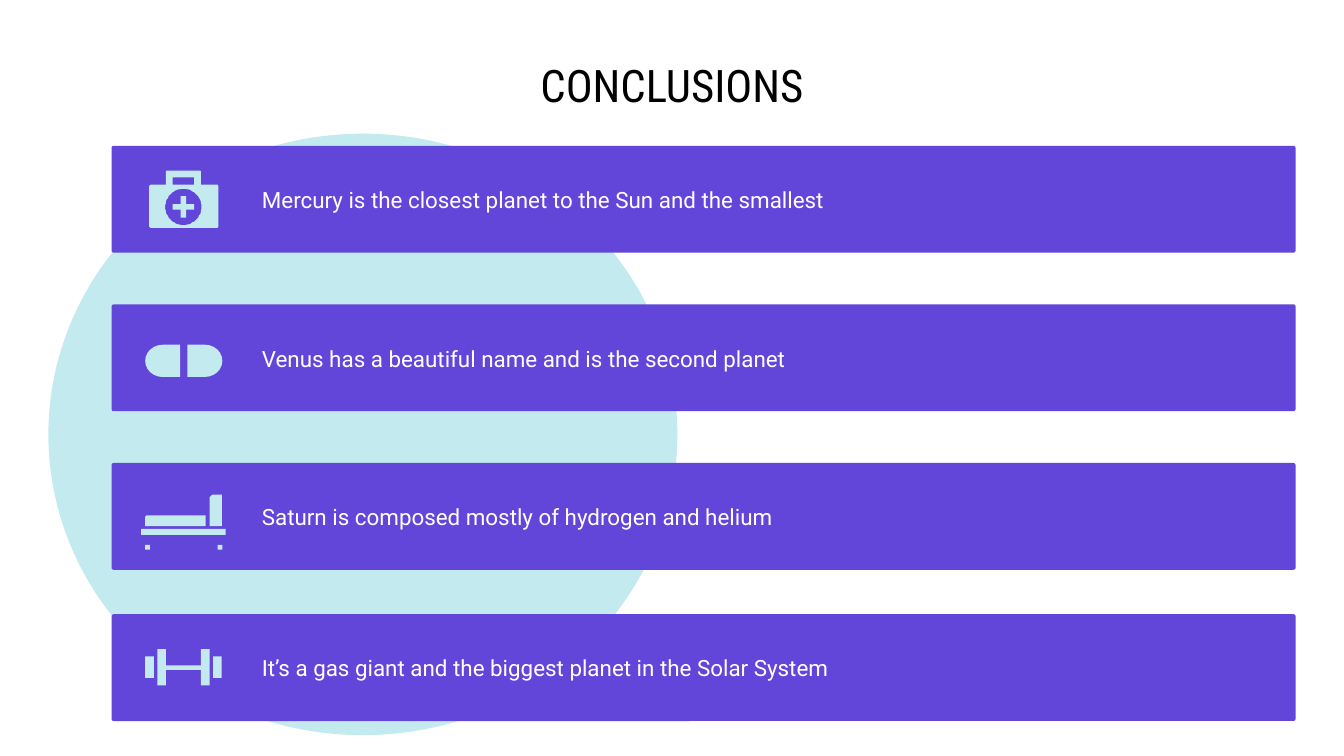
from dataclasses import dataclass
from math import cos, radians, sin

from pptx import Presentation
from pptx.dml.color import RGBColor
from pptx.enum.shapes import MSO_SHAPE as Kind
from pptx.enum.text import MSO_ANCHOR as Anchor, PP_ALIGN as Align
from pptx.util import Pt

PX = 4572


@dataclass(frozen=True)
class Theme:
    """Colours, fonts and type sizes."""
    ink: str = "000000"
    paper: str = "FFFFFF"
    bar: str = "6146D9"
    pale: str = "C3EBEF"
    head: str = "Roboto Condensed"
    body: str = "Roboto"
    big: int = 24
    small: int = 12


@dataclass(frozen=True)
class Box:
    """A rectangle in px."""
    x: int
    y: int
    w: int
    h: int

    def sub(self, x, y, w, h):
        """Return a box placed relative to this one."""
        return Box(self.x + x, self.y + y, w, h)

    def emu(self):
        """Return left, top, width and height in EMU."""
        return [n * PX for n in (self.x, self.y, self.w, self.h)]


THEME = Theme()


def write(frame, text, *, size, font, color, align=Align.LEFT):
    """Fill a text frame with one formatted paragraph."""
    frame.word_wrap = True
    frame.vertical_anchor = Anchor.MIDDLE
    frame.margin_left = frame.margin_right = 20 * PX
    frame.margin_top = frame.margin_bottom = 20 * PX
    para = frame.paragraphs[0]
    para.alignment = align
    run = para.add_run()
    run.text = text
    run.font.size = Pt(size)
    run.font.name = font
    run.font.bold = False
    run.font.color.rgb = RGBColor.from_string(color)


def paint(shape, color):
    """Give a shape a flat fill without line or shadow."""
    shape.shadow.inherit = False
    shape.fill.solid()
    shape.fill.fore_color.rgb = RGBColor.from_string(color)
    shape.line.fill.background()
    return shape


def block(slide, box, kind=Kind.RECTANGLE, color=THEME.pale):
    """Draw a preset shape in a box."""
    return paint(slide.shapes.add_shape(kind, *box.emu()), color)


def arc(x, y, size, start, end, step=6):
    """List points along a circle, angles in degrees."""
    turns = [radians(a) for a in range(start, end + 1, step)]
    return [(x + size * cos(a), y + size * sin(a)) for a in turns]


def rect(x, y, w, h):
    """List the corners of a rectangle."""
    return [(x, y), (x + w, y), (x + w, y + h), (x, y + h)]


def trace(slide, box, *loops):
    """Draw closed loops as one shape, inner loops as holes."""
    pen = slide.shapes.build_freeform(*loops[0][0], scale=PX)
    for loop in loops:
        if loop is not loops[0]:
            pen.move_to(*loop[0])
        pen.add_line_segments(loop[1:], close=True)
    paint(pen.convert_to_shape(box.x * PX, box.y * PX), THEME.pale)


def kit(slide, box):
    """Draw the first aid kit."""
    bag = [(81, 58), *arc(84, 40, 3, 180, 270, 30),
           *arc(130, 40, 3, 270, 360, 30), (133, 58),
           *arc(156, 61, 3, 270, 360, 30), *arc(156, 119, 3, 0, 90, 30),
           *arc(59, 119, 3, 90, 180, 30), *arc(59, 61, 3, 180, 270, 30)]
    x, y, far, near = 107, 91, 16, 4
    plus = [(-near, -far), (near, -far), (near, -near), (far, -near),
            (far, near), (near, near), (near, far), (-near, far),
            (-near, near), (-far, near), (-far, -near), (-near, -near)]
    trace(slide, box, bag, rect(91, 47, 32, 11), arc(x, y, 27, 0, 354),
          [(x + dx, y + dy) for dx, dy in plus])


def pill(slide, box):
    """Draw the two halves of a pill."""
    for x, turn in ((50, 180), (113, 0)):
        half = block(slide, box.sub(x, 60, 52, 48), Kind.FLOWCHART_DELAY)
        half.rotation = turn


def bed(slide, box):
    """Draw the bed with its rail and feet."""
    for x, y, w, h, bend in ((50, 78, 90, 16, 3), (146, 47, 18, 47, 6)):
        curve = arc(x + bend, y + bend, bend, 180, 270, 15)
        trace(slide, box, [*curve, *rect(x, y, w, h)[1:]])
    for part in ((44, 98, 126, 9), (50, 122, 7, 7), (158, 122, 7, 7)):
        block(slide, box.sub(*part))


def weight(slide, box):
    """Draw the dumbbell."""
    block(slide, box.sub(80, 76, 54, 7))
    for x, h in ((50, 32), (68, 54), (133, 54), (151, 32)):
        block(slide, box.sub(x, (box.h - h) // 2, 13, h))


def title(slide, box, text):
    """Place the slide title."""
    head = slide.shapes.title
    head.left, head.top, head.width, head.height = box.emu()
    write(head.text_frame, text, size=THEME.big, font=THEME.head,
          color=THEME.ink, align=Align.CENTER)


def row(slide, box, text, icon):
    """Draw one bar with its icon and sentence."""
    bar = block(slide, box, Kind.ROUNDED_RECTANGLE, THEME.bar)
    bar.adjustments[0] = 0.02
    note = slide.shapes.add_textbox(*box.sub(204, 20, 1498, 120).emu())
    write(note.text_frame, text, size=THEME.small, font=THEME.body,
          color=THEME.paper)
    icon(slide, box)


def main():
    """Build and save the deck."""
    deck = Presentation()
    deck.slide_width, deck.slide_height = 2000 * PX, 1125 * PX
    slide = deck.slides.add_slide(deck.slide_layouts[5])
    title(slide, Box(100, 90, 1800, 72), "CONCLUSIONS")
    block(slide, Box(72, 199, 936, 895), Kind.OVAL)
    rows = (
        (217, "Mercury is the closest planet to the Sun and the smallest", kit),
        (453, "Venus has a beautiful name and is the second planet", pill),
        (689, "Saturn is composed mostly of hydrogen and helium", bed),
        (914, "It’s a gas giant and the biggest planet in the Solar System",
         weight),
    )
    for top, text, icon in rows:
        row(slide, Box(166, top, 1762, 159), text, icon)
    deck.save("out.pptx")


if __name__ == "__main__":
    main()
